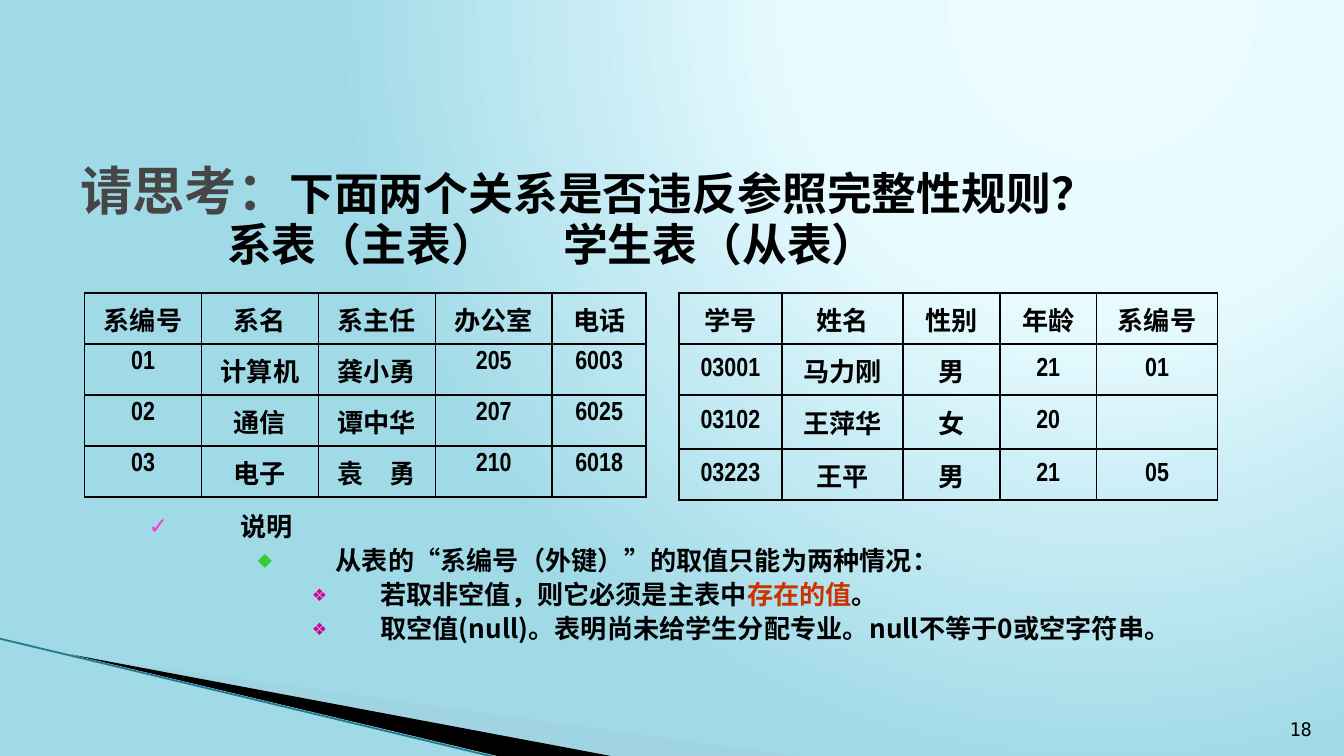
from dataclasses import dataclass

from lxml.etree import SubElement
from pptx import Presentation
from pptx.dml.color import RGBColor
from pptx.enum.shapes import MSO_CONNECTOR as Connector
from pptx.enum.text import MSO_ANCHOR as Anchor, MSO_AUTO_SIZE as AutoSize, PP_ALIGN as Align
from pptx.oxml.ns import qn
from pptx.util import Inches, Pt

BLACK = RGBColor(0x00, 0x00, 0x00)
GRAY = RGBColor(0x46, 0x46, 0x46)
RED = RGBColor(0xCC, 0x33, 0x00)
PINK = RGBColor(0xFF, 0x33, 0xCC)
GREEN = RGBColor(0x33, 0xCC, 0x33)
MAGENTA = RGBColor(0xD6, 0x00, 0x93)
WEDGE_BLUE = RGBColor(0xA0, 0xCB, 0xDC)
EDGE_BLUE = RGBColor(0x1F, 0x7A, 0x94)
SKY = [(0, RGBColor(0xEB, 0xFB, 0xFF)), (40, RGBColor(0xE7, 0xFB, 0xFF)),
       (100, RGBColor(0xA1, 0xDA, 0xE7))]
MONO, NARROW, SANS, ARIAL = "DejaVu Sans Mono", "Arial Narrow", "Noto Sans CJK SC", "Arial"


@dataclass
class Span:
    text: str
    size: float = 14
    font: str = SANS
    color: RGBColor = BLACK
    bold: bool = True


@dataclass
class Line:
    spans: list[Span]
    level: int
    margin: float
    indent: float
    before: float = 4.9
    bullet: str = ""
    bullet_color: RGBColor = BLACK
    bullet_size: int = 100
    tab: float = 0


@dataclass
class Grid:
    left: float
    widths: list[float]
    rows: list[list[str]]
    anchor: Anchor


def add_node(parent, tag: str, **values):
    return SubElement(parent, qn(tag), {key: str(value) for key, value in values.items()})


def write_span(para, span: Span) -> None:
    run = para.add_run()
    run.text = span.text
    formats = {"size": Pt(span.size), "name": span.font, "bold": span.bold}
    for name, value in formats.items():
        setattr(run.font, name, value)
    run.font.color.rgb = span.color
    add_node(run.font._element, "a:ea", typeface=SANS)


def write_lines(frame, lines: list[Line]) -> None:
    frame.word_wrap = True
    frame.auto_size = AutoSize.NONE
    for index, line in enumerate(lines):
        para = frame.add_paragraph() if index else frame.paragraphs[0]
        formats = {"level": line.level, "line_spacing": 0.8, "space_before": Pt(line.before)}
        for name, value in formats.items():
            setattr(para, name, value)
        props = para._p.get_or_add_pPr()
        props.set("marL", str(Inches(line.margin)))
        props.set("indent", str(Inches(line.indent)))
        if line.bullet:
            add_node(add_node(props, "a:buClr"), "a:srgbClr", val=line.bullet_color)
            add_node(props, "a:buSzPct", val=line.bullet_size * 1000)
            add_node(props, "a:buFont", typeface=MONO)
            add_node(props, "a:buChar", char=line.bullet)
        else:
            add_node(props, "a:buNone")
        if line.tab:
            add_node(add_node(props, "a:tabLst"), "a:tab", pos=Inches(line.tab), algn="l")
        for span in line.spans:
            write_span(para, span)


def paint_background(page) -> None:
    fill = page.background.fill
    fill.gradient()
    gradient = page._element.find(".//" + qn("a:gradFill"))
    for child in list(gradient):
        gradient.remove(child)
    stops = add_node(gradient, "a:gsLst")
    for position, color in SKY:
        add_node(add_node(stops, "a:gs", pos=position * 1000), "a:srgbClr", val=color)
    circle = add_node(gradient, "a:path", path="circle")
    add_node(circle, "a:fillToRect", l=65000, t=0, r=0, b=98000)


def add_wedge(page, points: list[tuple[float, float]], color: RGBColor, alpha: int) -> None:
    corners = [(Inches(x), Inches(y)) for x, y in points]
    builder = page.shapes.build_freeform(*corners[0], scale=1.0)
    builder.add_line_segments(corners[1:], close=True)
    wedge = builder.convert_to_shape()
    wedge.shadow.inherit = False
    wedge.line.fill.background()
    wedge.fill.solid()
    wedge.fill.fore_color.rgb = color
    if alpha < 100:
        add_node(wedge._element.spPr.find(".//" + qn("a:srgbClr")), "a:alpha", val=alpha * 1000)


def add_grid(page, grid: Grid) -> None:
    row_height = 0.38
    table = page.shapes.add_table(
        len(grid.rows), len(grid.widths), Inches(grid.left), Inches(2.18),
        Inches(sum(grid.widths)), Inches(row_height * len(grid.rows))).table
    table.first_row = table.horz_banding = False
    for column, width in zip(table.columns, grid.widths):
        column.width = Inches(width)
    for row, texts in zip(table.rows, grid.rows):
        row.height = Inches(row_height)
        for cell, text in zip(row.cells, texts):
            cell.vertical_anchor = grid.anchor
            para = cell.text_frame.paragraphs[0]
            para.alignment = Align.CENTER
            write_span(para, Span(text, font=NARROW))
            # Borders come before the fill in the cell properties
            props = cell._tc.get_or_add_tcPr()
            for side in ("a:lnL", "a:lnR", "a:lnT", "a:lnB"):
                border = add_node(props, side, w=Pt(1))
                add_node(add_node(border, "a:solidFill"), "a:srgbClr", val=BLACK)
            cell.fill.background()


# Widescreen page, 16 by 9
deck = Presentation()
deck.slide_width = Inches(10)
deck.slide_height = deck.slide_width * 9 // 16
page = deck.slides.add_slide(deck.slide_layouts[1])
title = page.shapes.title
title._element.getparent().remove(title._element)
paint_background(page)

# Corner decoration
add_wedge(page, [(0.55, 4.88), (5.95, 5.63), (4.56, 5.63)], WEDGE_BLUE, 40)
add_wedge(page, [(0.53, 4.87), (4.57, 5.63), (3.72, 5.63)], BLACK, 100)
edge = page.shapes.add_connector(
    Connector.STRAIGHT, Inches(-0.01), Inches(4.75), Inches(3.71), Inches(5.64))
edge.line.color.rgb = EDGE_BLUE
edge.line.width = Pt(0.95)
add_node(edge._element.spPr, "a:effectLst")

# Question and table captions
question = page.placeholders[1]
for name, value in {"left": 0.5, "top": 1.22, "width": 9, "height": 1.12}.items():
    setattr(question, name, Inches(value))
write_lines(question.text_frame, [
    Line([Span("请思考：", 28, MONO, GRAY),
          Span("下面两个关系是否违反参照完整性规则？", 24, MONO)], 0, 0.67, -0.67, 4),
    Line([Span("系表（主表）\t学生表（从表）", 24)], 1, 1.09, 0, 3.2, tab=3.95),
])

# Page number
number_box = page.shapes.add_textbox(Inches(9.46), Inches(5.26), Inches(0.4), Inches(0.3))
number_box.text_frame.word_wrap = True
number_box.text_frame.vertical_anchor = Anchor.BOTTOM
number = number_box.text_frame.paragraphs[0]
number.alignment = Align.RIGHT
write_span(number, Span("18", 10, MONO, bold=False))

# Student and department tables
GRIDS = [
    Grid(5.05, [0.77, 0.9, 0.72, 0.72, 0.9], [
        ["学号", "姓名", "性别", "年龄", "系编号"],
        ["03001", "马力刚", "男", "21", "01"],
        ["03102", "王萍华", "女", "20", ""],
        ["03223", "王平", "男", "21", "05"]], Anchor.MIDDLE),
    Grid(0.63, [0.87, 0.87, 0.87, 0.87, 0.7], [
        ["系编号", "系名", "系主任", "办公室", "电话"],
        ["01", "计算机", "龚小勇", "205", "6003"],
        ["02", "通信", "谭中华", "207", "6025"],
        ["03", "电子", "袁　勇", "210", "6018"]], Anchor.TOP),
]
for grid in GRIDS:
    add_grid(page, grid)

# Explanation list
CASE = {"level": 2, "margin": 1.71, "indent": -0.5,
        "bullet": "❖", "bullet_color": MAGENTA, "bullet_size": 85}
notes = page.shapes.add_textbox(Inches(1.02), Inches(3.79), Inches(7.82), Inches(1.29))
write_lines(notes.text_frame, [
    Line([Span("说明")], 0, 0.67, -0.67, bullet="✓", bullet_color=PINK),
    Line([Span("从表的"), Span("“", font=ARIAL), Span("系编号（外键）"),
          Span("”", font=ARIAL), Span("的取值只能为两种情况：")],
         1, 1.38, -0.58, bullet="◆", bullet_color=GREEN, bullet_size=90),
    Line([Span("若取非空值，则它必须是主表中"), Span("存在的值", color=RED), Span("。")], **CASE),
    Line([Span("取空值(null)。表明尚未给学生分配专业。null不等于0或空字符串。")], **CASE),
])

deck.save("out.pptx")
